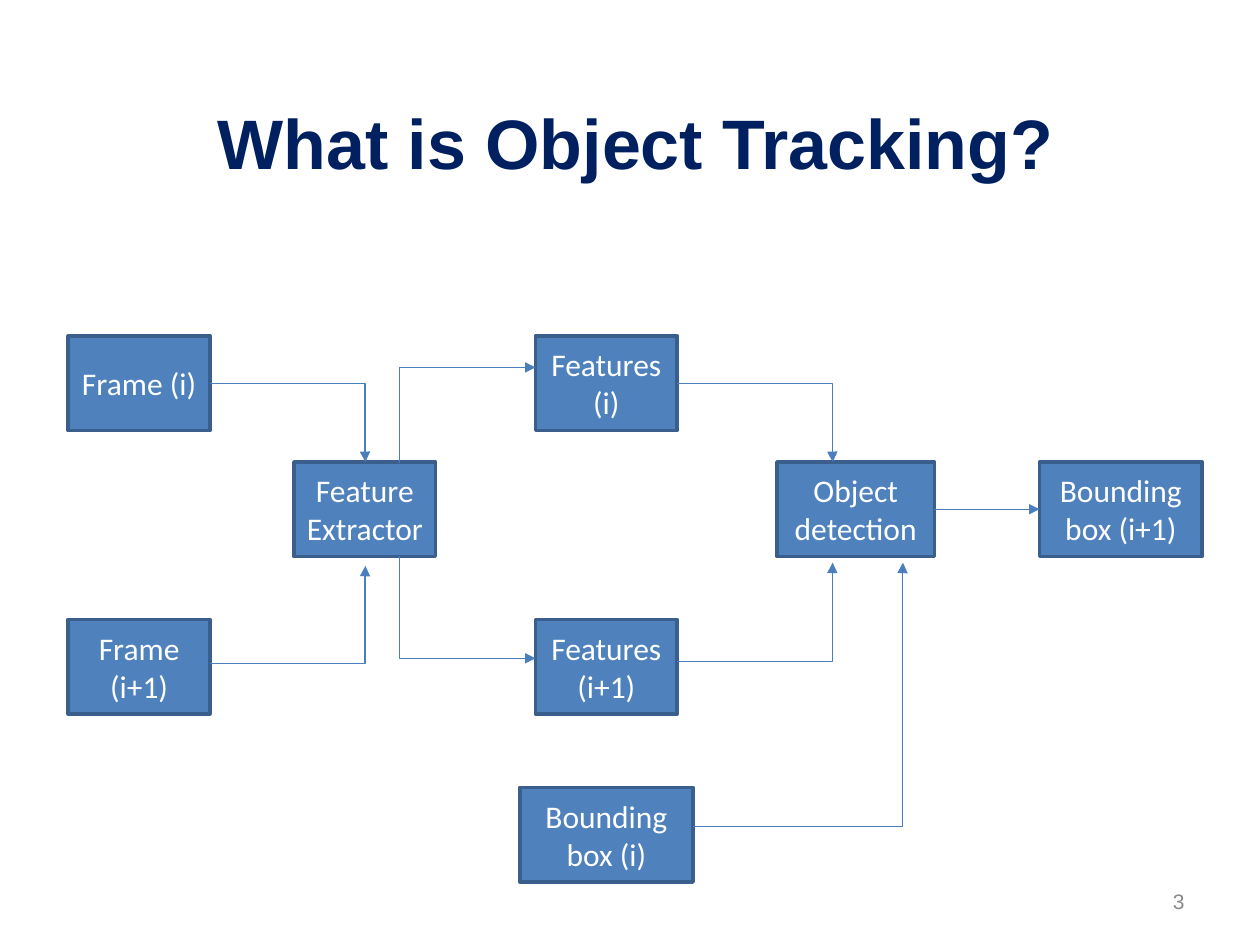
from dataclasses import dataclass

from lxml.etree import SubElement
from pptx import Presentation
from pptx.dml.color import RGBColor
from pptx.enum.shapes import MSO_CONNECTOR, MSO_SHAPE
from pptx.enum.text import MSO_ANCHOR, PP_ALIGN
from pptx.oxml.ns import qn
from pptx.util import Inches, Pt

COLORS = {
    "title": "002060",
    "number": "898989",
    "fill": "4F81BD",
    "border": "3A5F8C",
    "arrow": "4B7EBC",
    "label": "FFFFFF",
}
# The grid has 12 cells to the inch: 120 columns by 90 rows
CELL = 1 / 12
BOX_ROWS = 9
BOX_COLUMNS = 13.5
TOP, MIDDLE, LOWER, BOTTOM = 32, 44, 59, 75
# Where an elbow turns, as a share of its width
TURN_AT_START, TURN_AT_END = 0.002, 0.998


@dataclass
class Step:
    label: str
    column: float
    row: float
    columns: float = BOX_COLUMNS


@dataclass
class Elbow:
    start: tuple[float, float]
    end: tuple[float, float]
    turn: float


STEPS = [
    Step("Frame (i)", 6.5, TOP),
    Step("Frame (i+1)", 6.5, LOWER),
    Step("Feature Extractor", 28, MIDDLE),
    Step("Features (i)", 51, TOP),
    Step("Features (i+1)", 51, LOWER),
    Step("Object detection", 74, MIDDLE, 15),
    Step("Bounding box (i+1)", 99, MIDDLE, 15.5),
    Step("Bounding box (i)", 49.5, BOTTOM, 16.5),
]
ELBOWS = [
    Elbow((38, 44), (51, 35), TURN_AT_START),
    Elbow((38, 53), (51, 62.7), TURN_AT_START),
    Elbow((20, 36.5), (34.8, 44), TURN_AT_END),
    Elbow((20, 63.2), (34.8, 53.9), TURN_AT_END),
    Elbow((64.5, 36.5), (79.3, 44), TURN_AT_END),
    Elbow((64.5, 63), (79.3, 53.6), TURN_AT_END),
    Elbow((66, 78.7), (86, 53.6), TURN_AT_END),
]


def cells(count: float) -> int:
    return Inches(count * CELL)


def color(name: str) -> RGBColor:
    return RGBColor.from_string(COLORS[name])


def write(shape, text: str, size: float, font: str, name: str, align, bold=False) -> None:
    frame = shape.text_frame
    frame.word_wrap = True
    frame.vertical_anchor = MSO_ANCHOR.MIDDLE
    para = frame.paragraphs[0]
    para.text = text
    para.alignment = align
    para.font.size = Pt(size)
    para.font.name = font
    para.font.bold = bold
    para.font.color.rgb = color(name)


def add_step(page, step: Step):
    box = page.shapes.add_shape(MSO_SHAPE.RECTANGLE, cells(step.column), cells(step.row),
                                cells(step.columns), cells(BOX_ROWS))
    box.shadow.inherit = False
    box.fill.solid()
    box.fill.fore_color.rgb = color("fill")
    box.line.color.rgb = color("border")
    box.line.width = Pt(2)
    box.text_frame.margin_left = box.text_frame.margin_right = Inches(0.08)
    write(box, step.label, 18, "Calibri", "label", PP_ALIGN.CENTER)
    return box


def add_arrow(page, kind, start: tuple[float, float], end: tuple[float, float]):
    arrow = page.shapes.add_connector(kind, *map(cells, start + end))
    arrow.line.color.rgb = color("arrow")
    arrow.line.width = Pt(0.75)
    SubElement(arrow.line._get_or_add_ln(), qn("a:tailEnd"), type="triangle")
    SubElement(arrow._element.spPr, qn("a:effectLst"))
    return arrow


def add_elbow(page, elbow: Elbow) -> None:
    arrow = add_arrow(page, MSO_CONNECTOR.ELBOW, elbow.start, elbow.end)
    adjustments = arrow._element.spPr.find(qn("a:prstGeom")).find(qn("a:avLst"))
    SubElement(adjustments, qn("a:gd"), name="adj1", fmla=f"val {round(elbow.turn * 100000)}")


def main() -> None:
    deck = Presentation()
    deck.slide_width, deck.slide_height = Inches(10), Inches(7.5)
    page = deck.slides.add_slide(deck.slide_layouts[6])

    # Title and page number
    title = page.shapes.add_textbox(cells(6.5), cells(7.8), cells(108), cells(11.4))
    write(title, "What is Object Tracking?", 40, "Arial", "title", PP_ALIGN.CENTER, True)
    number = page.shapes.add_textbox(cells(86), cells(83.4), cells(28), cells(4.8))
    write(number, "3", 12, "Arial", "number", PP_ALIGN.RIGHT)

    # Steps of the pipeline
    boxes = {step.label: add_step(page, step) for step in STEPS}

    # Arrows between the steps
    for elbow in ELBOWS:
        add_elbow(page, elbow)
    result = add_arrow(page, MSO_CONNECTOR.STRAIGHT, (89, 48.5), (99, 48.5))
    result.begin_connect(boxes["Object detection"], 3)
    result.end_connect(boxes["Bounding box (i+1)"], 1)

    deck.save("out.pptx")


if __name__ == "__main__":
    main()
